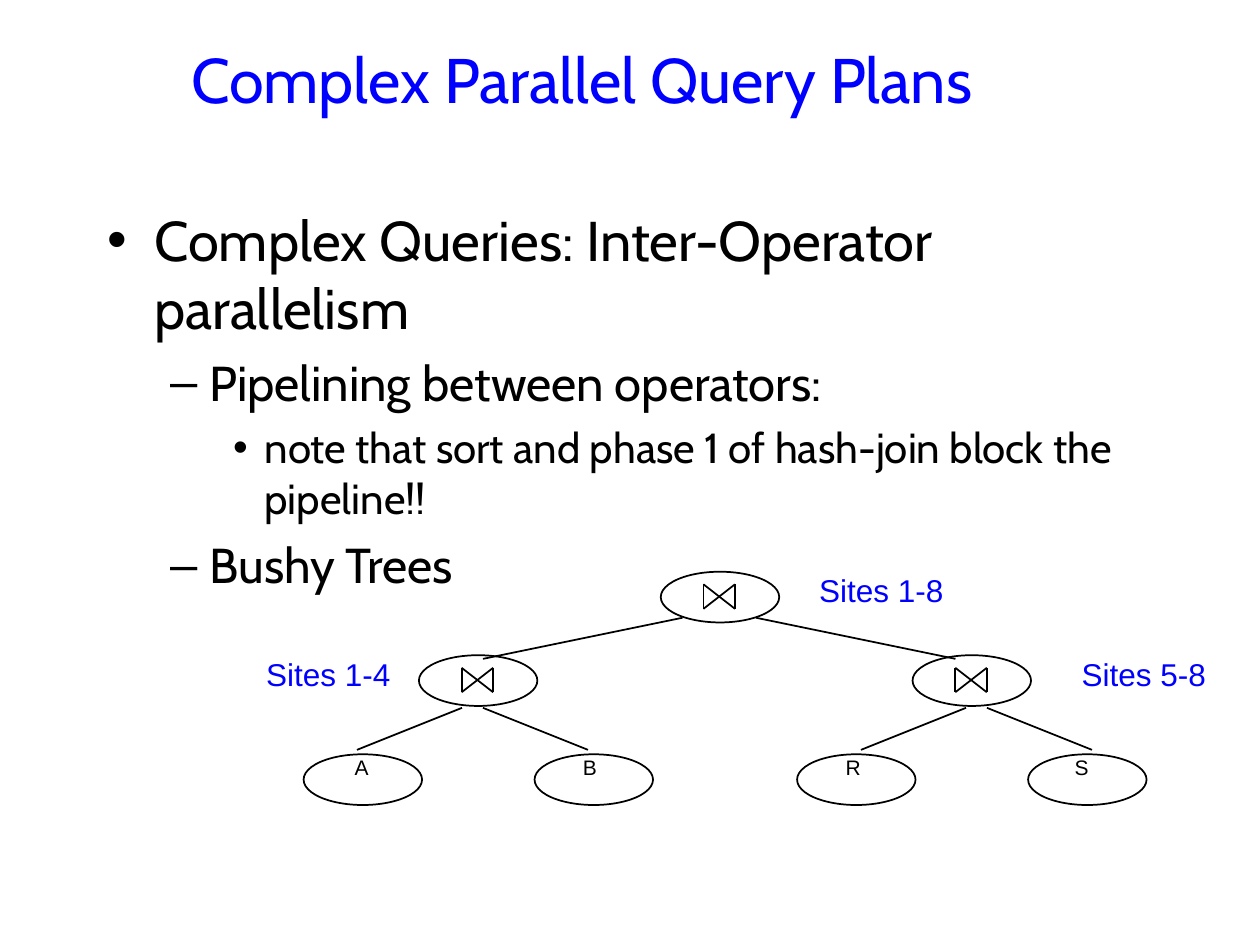
from lxml import etree
from pptx import Presentation
from pptx.dml.color import RGBColor
from pptx.enum.shapes import MSO_CONNECTOR, MSO_SHAPE
from pptx.enum.text import MSO_ANCHOR, MSO_AUTO_SIZE, PP_ALIGN
from pptx.oxml.ns import qn
from pptx.util import Pt

COLORS = {"text": "000000", "accent": "0000FF"}

deck = Presentation()
deck.slide_width, deck.slide_height = Pt(720), Pt(540)
page = deck.slides.add_slide(deck.slide_layouts[1])


def add_line(x1, y1, x2, y2):
    line = page.shapes.add_connector(
        MSO_CONNECTOR.STRAIGHT, Pt(x1), Pt(y1), Pt(x2), Pt(y2))
    line.line.color.rgb = RGBColor.from_string(COLORS["text"])
    line.line.width = Pt(1)
    etree.SubElement(line._element.spPr, qn("a:effectLst"))


def style(para, text, size, font, color):
    para.text = text
    para.font.size = Pt(size)
    para.font.name = font
    para.font.color.rgb = RGBColor.from_string(COLORS[color])


# Title
title = page.shapes.title
title.left, title.top, title.width, title.height = Pt(102), Pt(0), Pt(564), Pt(90)
title.text_frame.vertical_anchor = MSO_ANCHOR.MIDDLE
title_para = title.text_frame.paragraphs[0]
title_para.alignment = PP_ALIGN.LEFT
style(title_para, "Complex Parallel Query Plans", 36, "Cabin", "accent")

# Bulleted list
body = page.placeholders[1]
body.left, body.top, body.width, body.height = Pt(54), Pt(114), Pt(612), Pt(402)
body.text_frame.auto_size = MSO_AUTO_SIZE.NONE
# Per level: bullet, left margin, hanging indent, space before, text size
LEVELS = [("•", 27, 27, 0, 32), ("–", 58.5, 22.5, 7, 28), ("•", 90, 18, 6, 24)]
items = [
    (0, "Complex Queries: Inter-Operator parallelism"),
    (1, "Pipelining between operators:"),
    (2, "note that sort and phase 1 of hash-join block the pipeline!!"),
    (1, "Bushy Trees"),
]
for index, (level, text) in enumerate(items):
    frame = body.text_frame
    para = frame.add_paragraph() if index else frame.paragraphs[0]
    bullet, margin, hanging, space, size = LEVELS[level]
    para.level = level
    para.space_before = Pt(space)
    properties = para._p.get_or_add_pPr()
    properties.set("marL", str(Pt(margin)))
    properties.set("indent", str(-Pt(hanging)))
    bullet_color = etree.SubElement(properties, qn("a:buClr"))
    etree.SubElement(bullet_color, qn("a:srgbClr"), val=COLORS["text"])
    etree.SubElement(properties, qn("a:buChar"), char=bullet)
    style(para, text, size, "Cabin", "text")

# Tree nodes
NODE_WIDTH, NODE_HEIGHT = 67.7, 29
joins = [(377.6, 326.7), (239.4, 374.4), (521.5, 374.4)]
leaves = [("A", 173.5, 195.6), ("B", 305.5, 326), ("R", 455.5, 476.2), ("S", 587.5, 607)]
LEAF_TOP = 431
for left, top in joins + [(left, LEAF_TOP) for _, left, _ in leaves]:
    node = page.shapes.add_shape(
        MSO_SHAPE.OVAL, Pt(left), Pt(top), Pt(NODE_WIDTH), Pt(NODE_HEIGHT))
    node.shadow.inherit = False
    node.fill.background()
    node.line.color.rgb = RGBColor.from_string(COLORS["text"])
    node.line.width = Pt(1)

# Join symbols: two uprights and two diagonals
for left, top in joins:
    x1, x2 = left + 24.4, left + 42.4
    y1, y2 = top + 7.2, top + 21.2
    for ends in [(x1, y1, x1, y2), (x1, y1, x2, y2), (x1, y2, x2, y1), (x2, y1, x2, y2)]:
        add_line(*ends)

# Branches from the root, then from each lower join
for start, end in [(390, 276), (432, 546)]:
    add_line(start, 353, end, 376.5)
for center in (270, 558):
    for side in (-1, 1):
        add_line(center + side * 66, 428.5, center + side * 6, 404.5)

# Leaf names and site labels: text, left, top, width, height, size, color, wrap
labels = [(name, left, 427.5, 22.5, 21.6, 12, "text", False) for name, _, left in leaves]
labels += [
    (text, left, top, 85.5, 29, 18, "accent", True)
    for text, left, top in [
        ("Sites 1-4", 145, 371), ("Sites 5-8", 611, 371), ("Sites 1-8", 461, 322.7)]
]
for text, left, top, width, height, size, color, wrap in labels:
    box = page.shapes.add_textbox(Pt(left), Pt(top), Pt(width), Pt(height))
    box.text_frame.word_wrap = wrap
    box.text_frame.auto_size = MSO_AUTO_SIZE.SHAPE_TO_FIT_TEXT
    style(box.text_frame.paragraphs[0], text, size, "Arial", color)

deck.save("out.pptx")
